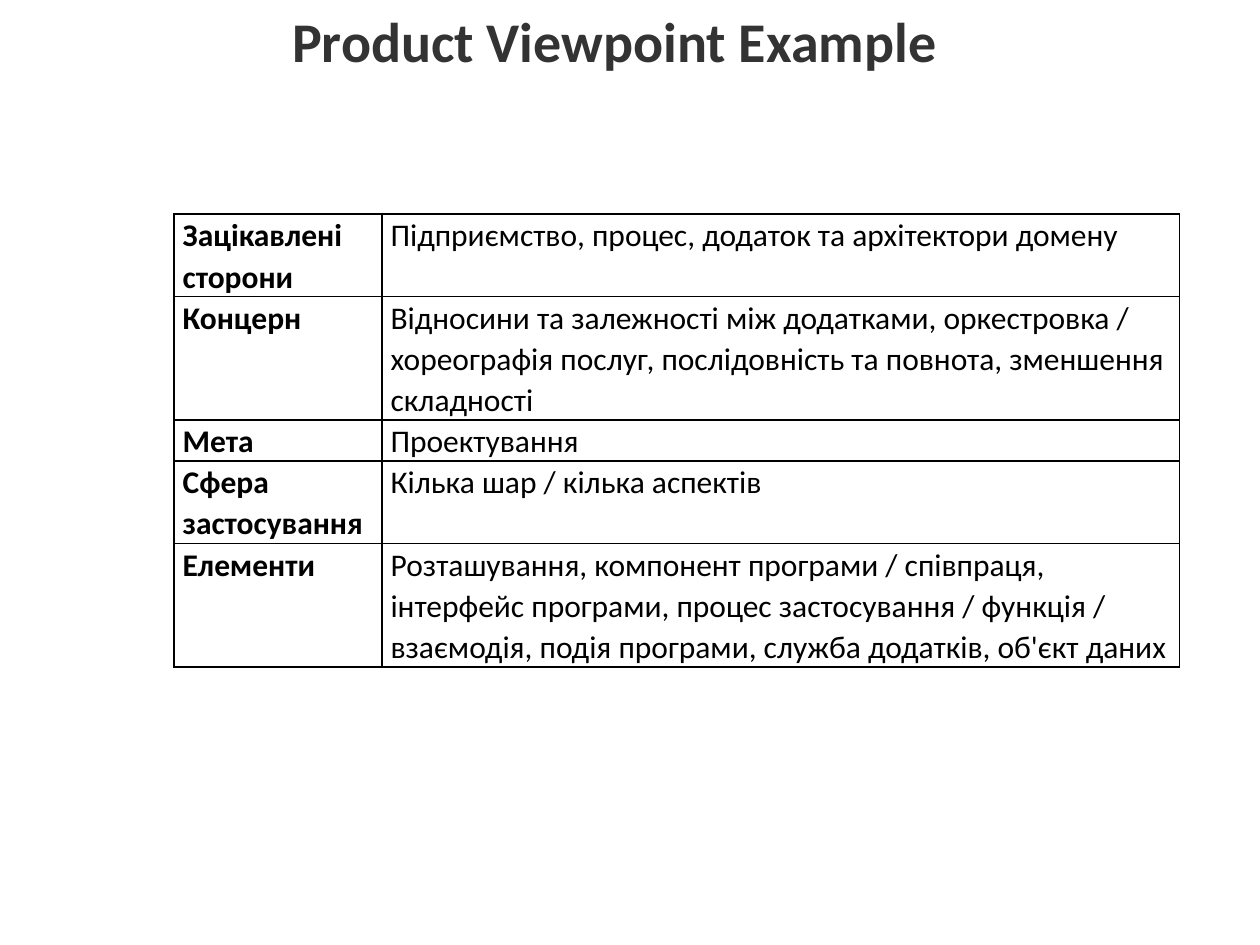
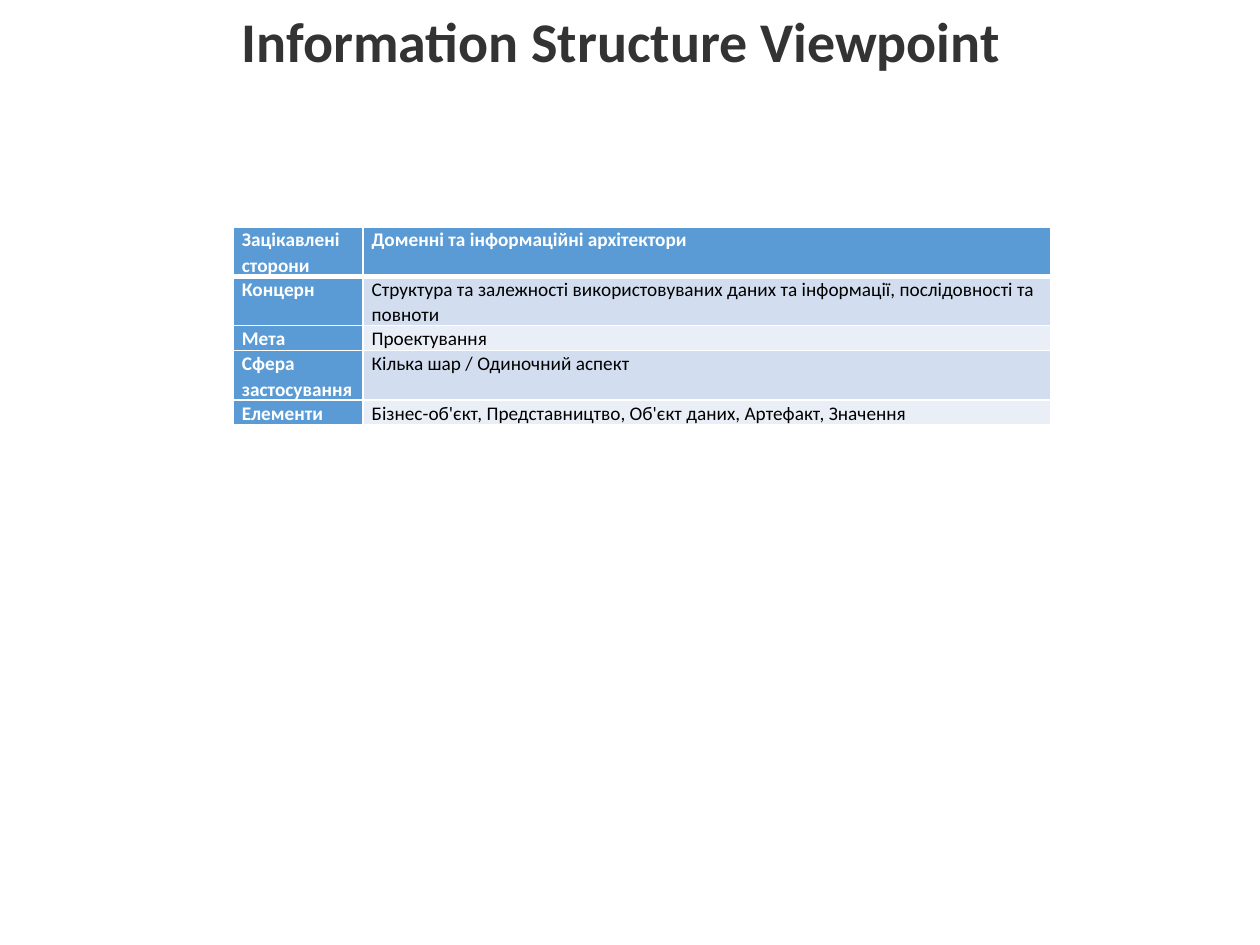
"""Build two slides, each with a viewpoint title and its table."""
import pptx
import pptx.util
import pptx.dml.color
import pptx.enum.text
import pptx.oxml

Inches = pptx.util.Inches
RGB = pptx.dml.color.RGBColor
BLACK = RGB(0x00, 0x00, 0x00)
WHITE = RGB(0xFF, 0xFF, 0xFF)
GREY = RGB(0x33, 0x33, 0x33)
BLUE = RGB(0x5B, 0x9B, 0xD5)
BANDS = [RGB(0xEA, 0xEF, 0xF7), RGB(0xD2, 0xDE, 0xEF)]
FONT = "Calibri"
NS = "http://schemas.openxmlformats.org/drawingml/2006/main"
HEADS = ["Зацікавлені сторони", "Концерн", "Мета", "Сфера застосування", "Елементи"]


def write(frame, text, size, color, bold=False, space=None):
    para = frame.paragraphs[0]
    para.line_spacing = space
    run = para.add_run()
    run.text = text
    run.font.name = FONT
    run.font.size = pptx.util.Pt(size)
    run.font.color.rgb = color
    run.font.bold = bold


def edge(cell, side, color, width):
    cell._tc.get_or_add_tcPr().append(pptx.oxml.parse_xml(
        f'<a:ln{side} xmlns:a="{NS}" w="{pptx.util.Pt(width)}">'
        f'<a:solidFill><a:srgbClr val="{color}"/></a:solidFill></a:ln{side}>'))


pages = [
    dict(title="Product Viewpoint Example", box=(2.22, 5.36),
         place=(1.38, 1.7), cols=(1.65, 6.33), size=18, line=0.32,
         counts=(2, 3, 1, 2, 3), filled=False, texts=[
             "Підприємство, процес, додаток та архітектори домену",
             "Відносини та залежності між додатками, оркестровка / хореографія "
             "послуг, послідовність та повнота, зменшення складності",
             "Проектування",
             "Кілька шар / кілька аспектів",
             "Розташування, компонент програми / співпраця, інтерфейс програми, "
             "процес застосування / функція / взаємодія, подія програми, "
             "служба додатків, об'єкт даних"]),
    dict(title="Information Structure Viewpoint", box=(1.82, 6.28),
         place=(1.85, 1.8), cols=(1.03, 5.46), size=11, line=0.19,
         counts=(2, 2, 1, 2, 1), filled=True, texts=[
             "Доменні та інформаційні архітектори",
             "Структура та залежності використовуваних даних та інформації, "
             "послідовності та повноти",
             "Проектування",
             "Кілька шар / Одиночний аспект",
             "Бізнес-об'єкт, Представництво, Об'єкт даних, Артефакт, Значення"]),
]

deck = pptx.Presentation()
deck.slide_width = Inches(10)
deck.slide_height = Inches(7.5)

for page in pages:
    slide = deck.slides.add_slide(deck.slide_layouts[6])
    filled = page["filled"]
    left, top = page["place"]
    table = slide.shapes.add_table(
        len(HEADS), 2, Inches(left), Inches(top), Inches(sum(page["cols"])),
        Inches(page["line"] * sum(page["counts"]))).table
    table.first_row = filled
    table.first_col = filled
    table.horz_banding = filled
    for col, width in zip(table.columns, page["cols"]):
        col.width = Inches(width)
    for row, pair in enumerate(zip(HEADS, page["texts"])):
        table.rows[row].height = Inches(page["line"] * page["counts"][row])
        for col, text in enumerate(pair):
            cell = table.cell(row, col)
            cell.margin_left = cell.margin_right = Inches(0.07)
            cell.margin_top = cell.margin_bottom = 0
            head = col == 0 or (filled and row == 0)
            write(cell.text_frame, text, page["size"],
                  WHITE if filled and head else BLACK, bold=head, space=1.07)
            for side in "LRTB":
                thick = filled and (row, side) in [(0, "B"), (1, "T")]
                edge(cell, side, WHITE if filled else BLACK, 3 if thick else 1)
            if filled:
                cell.fill.solid()
                cell.fill.fore_color.rgb = BLUE if head else BANDS[row % 2]
            else:
                cell.fill.background()

    left, width = page["box"]
    frame = slide.shapes.add_textbox(
        Inches(left), 0, Inches(width), Inches(0.64)).text_frame
    frame.word_wrap = False
    frame.auto_size = pptx.enum.text.MSO_AUTO_SIZE.SHAPE_TO_FIT_TEXT
    write(frame, page["title"], 32, GREY, bold=True)

deck.save("out.pptx")
